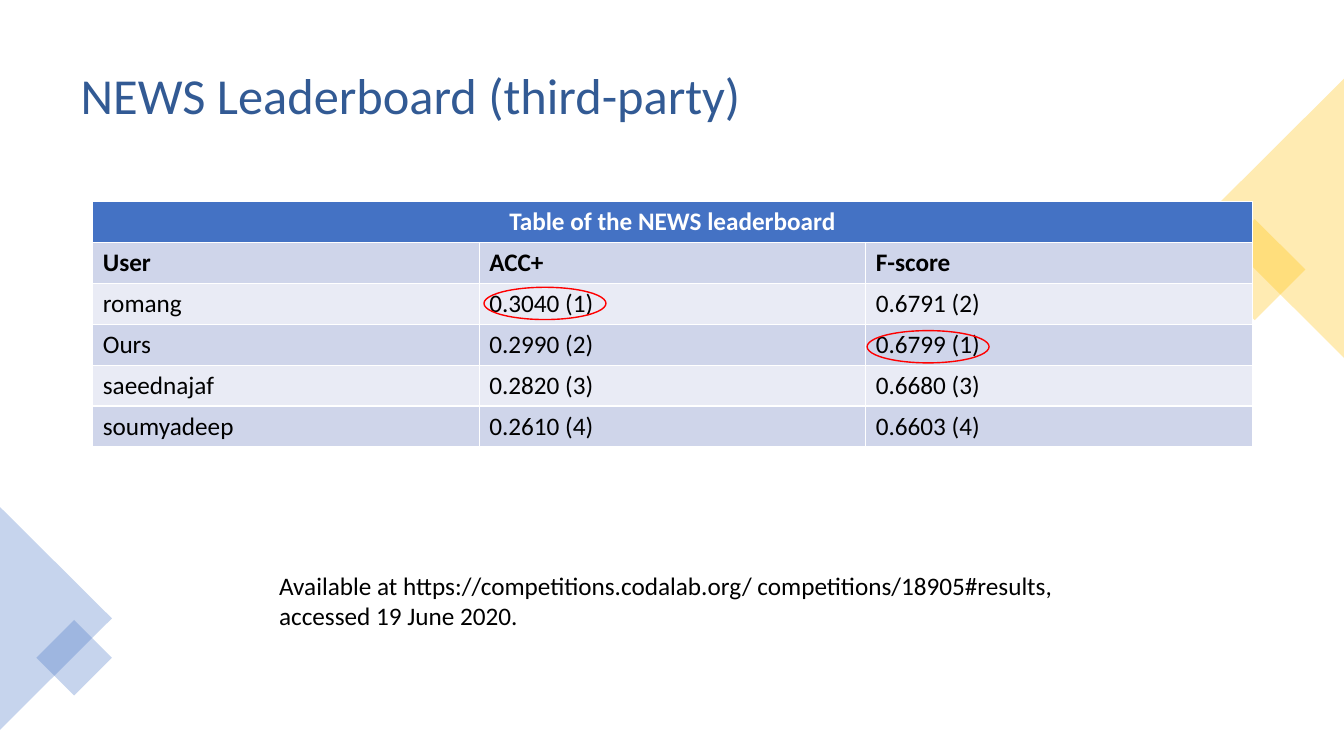
from dataclasses import dataclass

import pptx
import pptx.dml.color
import pptx.enum.shapes
import pptx.enum.text
import pptx.oxml
import pptx.oxml.ns
import pptx.util

Inches = pptx.util.Inches
MSO_SHAPE = pptx.enum.shapes.MSO_SHAPE
PP_ALIGN = pptx.enum.text.PP_ALIGN


@dataclass(frozen=True)
class Theme:
    font: str = "Calibri"
    title_size: int = 36
    body_size: int = 18
    title: str = "325A94"
    text: str = "000000"
    white: str = "FFFFFF"
    blue: str = "4472C4"
    gold: str = "FFC000"
    red: str = "FF0000"
    bands: tuple = ("E9EBF5", "CFD5EA")


theme = Theme()
rgb = pptx.dml.color.RGBColor.from_string


def style_text(frame, size, color, bold=False):
    for para in frame.paragraphs:
        for span in para.runs:
            span.font.name = theme.font
            span.font.size = pptx.util.Pt(size)
            span.font.bold = bold
            span.font.color.rgb = rgb(color)


deck = pptx.Presentation()
deck.slide_width, deck.slide_height = Inches(13.33), Inches(7.5)
page = deck.slides.add_slide(deck.slide_layouts[5])

# Title
title = page.shapes.title
title.left, title.top = Inches(0.7), Inches(0.35)
title.width, title.height = Inches(11.93), Inches(1.24)
title.text_frame.text = "NEWS Leaderboard (third-party)"
title.text_frame.auto_size = pptx.enum.text.MSO_AUTO_SIZE.NONE
title.text_frame.vertical_anchor = pptx.enum.text.MSO_ANCHOR.MIDDLE
title.text_frame.paragraphs[0].alignment = PP_ALIGN.LEFT
title.text_frame.paragraphs[0].line_spacing = 0.9
style_text(title.text_frame, theme.title_size, theme.title)

# Translucent corner decorations
decorations = [
    (MSO_SHAPE.RECTANGLE, 12.09, 2.32, 0.71, 0.71, 45, theme.gold),
    (MSO_SHAPE.ISOSCELES_TRIANGLE, 11.25, 1.47, 2.77, 1.39, 270, theme.gold),
    (MSO_SHAPE.ISOSCELES_TRIANGLE, -0.55, 5.58, 2.21, 1.11, 90, theme.blue),
    (MSO_SHAPE.RECTANGLE, 0.47, 6.26, 0.53, 0.53, 45, theme.blue),
]
for kind, left, top, width, height, angle, color in decorations:
    corner = page.shapes.add_shape(
        kind, Inches(left), Inches(top), Inches(width), Inches(height))
    corner.rotation = angle
    corner.shadow.inherit = False
    corner.line.fill.background()
    corner.fill.solid()
    corner.fill.fore_color.rgb = rgb(color)
    fill_color = corner.element.spPr.find(
        ".//" + pptx.oxml.ns.qn("a:srgbClr"))
    fill_color.append(pptx.oxml.parse_xml(
        f'<a:alpha {pptx.oxml.ns.nsdecls("a")} val="30000"/>'))

# Leaderboard table: a merged heading, a bold label row, then the scores
rows = [
    ("Table of the NEWS leaderboard", "", ""),
    ("User", "ACC+", "F-score"),
    ("romang", "0.3040 (1)", "0.6791 (2)"),
    ("Ours", "0.2990 (2)", "0.6799 (1)"),
    ("saeednajaf", "0.2820 (3)", "0.6680 (3)"),
    ("soumyadeep", "0.2610 (4)", "0.6603 (4)"),
]
table = page.shapes.add_table(
    len(rows), 3, Inches(0.92), Inches(2), Inches(11.5), Inches(2.43)).table
table.cell(0, 0).merge(table.cell(0, 2))
for row, values in enumerate(rows):
    for column, value in enumerate(values):
        cell = table.cell(row, column)
        cell.text_frame.text = value
        cell.fill.solid()
        cell.fill.fore_color.rgb = rgb(theme.bands[row % 2] if row else theme.blue)
        style_text(cell.text_frame, theme.body_size,
                   theme.text if row else theme.white, bold=row < 2)
table.cell(0, 0).text_frame.paragraphs[0].alignment = PP_ALIGN.CENTER

# Reference
reference = page.shapes.add_textbox(
    Inches(2.67), Inches(5.61), Inches(8), Inches(0.71))
reference.text_frame.word_wrap = True
reference.text_frame.text = (
    "Available at https://competitions.codalab.org/ competitions/18905#results,\n"
    "accessed 19 June 2020.")
style_text(reference.text_frame, theme.body_size, theme.text)

# Rings around the best scores
for left, top in [(4.8, 2.85), (8.6, 3.28)]:
    ring = page.shapes.add_shape(
        MSO_SHAPE.OVAL, Inches(left), Inches(top), Inches(1.21), Inches(0.32))
    ring.shadow.inherit = False
    ring.fill.background()
    ring.line.color.rgb = rgb(theme.red)
    ring.line.width = pptx.util.Pt(1)

deck.save("out.pptx")
